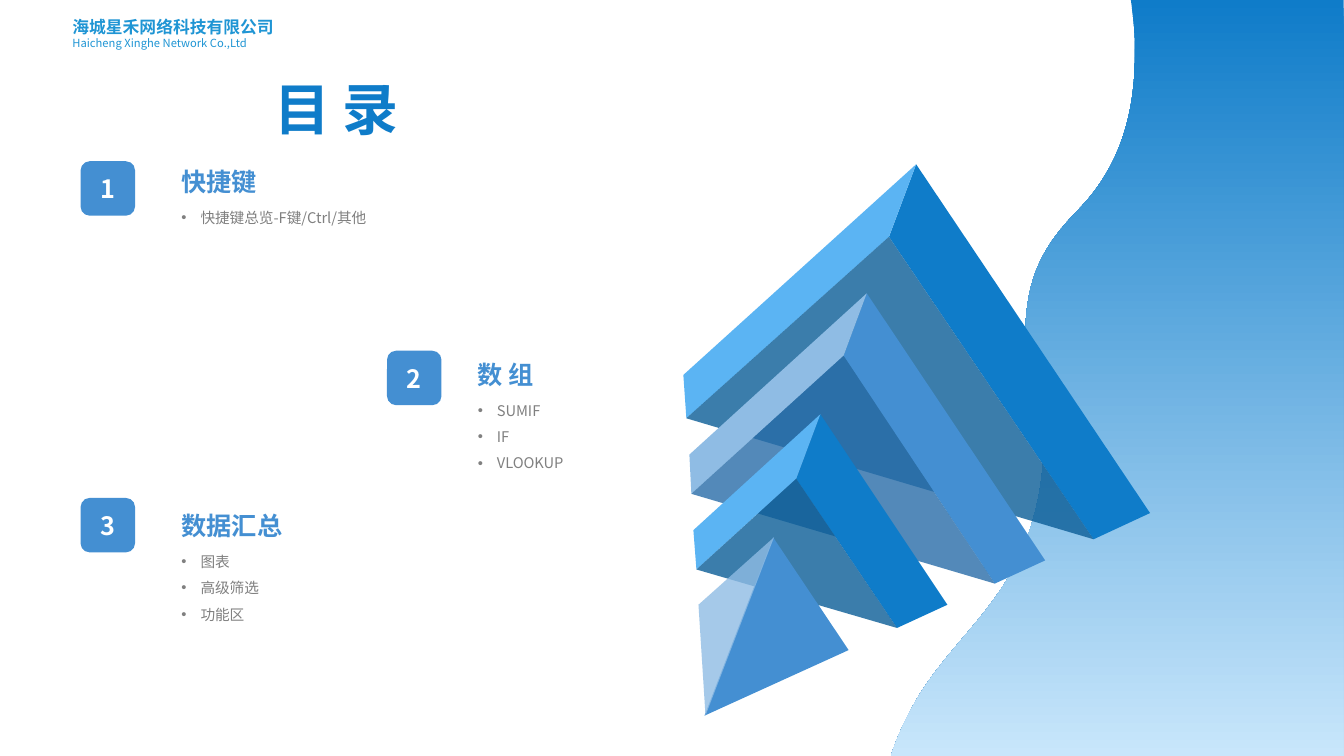
from lxml import etree
from pptx import Presentation
from pptx import util as u
from pptx.dml.color import RGBColor
from pptx.enum import shapes, text
from pptx.oxml import ns

DEEP = RGBColor(0x0F, 0x7C, 0xC9)
PALE = RGBColor(0xC8, 0xE6, 0xFB)
SKY = RGBColor(0x5B, 0xB4, 0xF3)
BLUE = RGBColor(0x44, 0x8F, 0xD2)
MIST = RGBColor(0x8F, 0xBC, 0xE4)
NAVY = RGBColor(0x0B, 0x5D, 0x97)
STEEL = RGBColor(0x28, 0x6C, 0xA8)
LOGO = RGBColor(0x1F, 0x95, 0xD4)
GRAY = RGBColor(0x80, 0x80, 0x80)
WHITE = RGBColor(0xFF, 0xFF, 0xFF)
FONT = "Noto Sans CJK SC"


def inch(size):
    return u.Cm(size * 2.54)


def sub(node, tag, **attrs):
    return etree.SubElement(node, ns.qn(tag), attrs)


def put(para, words, size=10.5, color=GRAY, bold=False, align=text.PP_ALIGN.LEFT,
        before=0, space=1, bullet=False):
    para.alignment = align
    para.space_before = u.Pt(before)
    para.line_spacing = space
    props = para._p.get_or_add_pPr()
    indent = inch(0.19) if bullet else 0
    props.set("marL", str(indent))
    props.set("indent", str(-indent))
    if bullet:
        sub(props, "a:buFont", typeface="Arial")
        sub(props, "a:buChar", char="•")
    else:
        sub(props, "a:buNone")
    run = para.add_run()
    run.text = words
    font = run.font
    font.size, font.bold = u.Pt(size), bold
    font.color.rgb = color
    font.name = FONT
    sub(run._r.get_or_add_rPr(), "a:ea", typeface=FONT)


def place(shape, x, y, w, h):
    shape.left, shape.top, shape.width, shape.height = map(inch, (x, y, w, h))
    frame = shape.text_frame
    frame.word_wrap = True
    frame.auto_size = text.MSO_AUTO_SIZE.NONE
    frame.vertical_anchor = text.MSO_ANCHOR.TOP
    return frame


def face(slide, x, y, points, color=None, alpha=None):
    spots = [(inch(x + a), inch(y + b)) for a, b in points]
    pen = slide.shapes.build_freeform(*spots[0], scale=1.0)
    pen.add_line_segments(spots[1:], close=True)
    shape = pen.convert_to_shape()
    shape.shadow.inherit = False
    shape.line.fill.background()
    if color is not None:
        shape.fill.solid()
        shape.fill.fore_color.rgb = color
    if alpha:
        tint = shape.fill._xPr.find(".//" + ns.qn("a:srgbClr"))
        sub(tint, "a:alpha", val=str(alpha * 1000))
    return shape


def curve(start, bends, steps=24):
    points = [start]
    for b, c, d in bends:
        a = points[-1]
        for i in range(1, steps + 1):
            t = i / steps
            s = 1 - t
            points.append(tuple(
                s**3 * a[k] + 3 * s * s * t * b[k] + 3 * s * t * t * c[k] + t**3 * d[k]
                for k in (0, 1)))
    return points


def wave(slide, x, y, w, h):
    bends = [
        ((2.4, 0.15), (2.42, 0.3), (2.42, 0.45)),
        ((2.42, 0.57), (2.42, 0.68), (2.41, 0.8)),
        ((2.36, 1.4), (2.14, 1.79), (1.86, 2.08)),
        ((1.62, 2.33), (1.38, 2.61), (1.34, 3.15)),
        ((1.31, 3.64), (1.5, 3.97), (1.51, 4.42)),
        ((1.52, 4.88), (1.38, 5.33), (1.21, 5.65)),
        ((0.99, 6.05), (0.71, 6.31), (0.46, 6.64)),
        ((0.28, 6.87), (0.11, 7.16), (0, h)),
    ]
    shape = face(slide, x, y, curve((2.38, 0), bends) + [(w, h), (w, 0)])
    shape.fill.gradient()
    shape.fill.gradient_angle = 270
    for stop, color in zip(shape.fill.gradient_stops, (DEEP, PALE)):
        stop.color.rgb = color


def tower(slide, x, y):
    layers = [
        ((2.31, 0), (2.04, 0.72), (4.63, 3.46), (4.07, 3.72), (0, 2.09), (0.03, 2.52),
         DEEP, SKY, NAVY),
        ((1.82, 1.28), (1.59, 1.9), (3.59, 3.93), (3.09, 4.16), (0.06, 2.88), (0.08, 3.27),
         BLUE, MIST, STEEL),
        ((1.36, 2.48), (1.12, 3.12), (2.62, 4.37), (2.12, 4.6), (0.1, 3.63), (0.13, 4.02),
         DEEP, SKY, NAVY),
    ]
    for top, fold, right, foot, left, base, front, side, under in layers:
        face(slide, x, y, [right, top, fold, foot], front)
        face(slide, x, y, [fold, top, left, base], side)
        face(slide, x, y, [foot, fold, base], under, 80)
    face(slide, x, y, [(0.89, 3.7), (1.64, 4.82), (0.21, 5.47)], BLUE)
    face(slide, x, y, [(0.9, 3.7), (0.22, 5.47), (0.15, 4.37)], MIST, 80)


def header(slide, x, y, w):
    rows = [("海城星禾网络科技有限公司", 0, 0.3, 12, True),
            ("Haicheng Xinghe Network Co.,Ltd", 0.19, 0.23, 8, False)]
    for words, drop, h, size, bold in rows:
        box = slide.shapes.add_textbox(0, 0, 0, 0)
        frame = place(box, x, y + drop, w, h)
        put(frame.paragraphs[0], words, size=size, color=LOGO, bold=bold)


def badge(slide, x, y, number, side=0.54):
    shape = slide.shapes.add_shape(shapes.MSO_SHAPE.ROUNDED_RECTANGLE, 0, 0, 0, 0)
    frame = place(shape, x, y, side, side)
    shape.shadow.inherit = False
    shape.fill.solid()
    shape.fill.fore_color.rgb = BLUE
    shape.line.fill.background()
    frame.vertical_anchor = text.MSO_ANCHOR.MIDDLE
    put(frame.paragraphs[0], str(number), size=18, color=WHITE, bold=True,
        align=text.PP_ALIGN.CENTER)


def topic(holder, x, y, w, h, head, items):
    frame = place(holder, x, y, w, h)
    put(frame.paragraphs[0], head, size=18, color=BLUE, bold=True)
    for i, item in enumerate(items):
        put(frame.add_paragraph(), item, before=0 if i else 2.5, space=1.5, bullet=True)


def agenda(deck):
    slide = deck.slides.add_slide(deck.slide_layouts.get_by_name("Comparison"))
    wave(slide, 8.84, 0, 4.49, 7.5)
    tower(slide, 6.78, 1.63)
    header(slide, 0.62, 0.12, 2.4)
    title, *bodies = slide.placeholders
    put(place(title, 2.62, 0.69, 1.65, 0.69).paragraphs[0], "目 录",
        size=40, color=DEEP, bold=True)
    topics = [
        (0.8, 1.6, 1.7, 1.6, 0.97, "快捷键", ["快捷键总览-F键/Ctrl/其他"]),
        (3.84, 3.48, 4.64, 3.51, 1.53, "数 组", ["SUMIF", "IF", "VLOOKUP"]),
        (0.8, 4.94, 1.7, 5.01, 1.23, "数据汇总", ["图表", "高级筛选", "功能区"]),
    ]
    for i, (bx, by, x, y, h, head, items) in enumerate(topics):
        badge(slide, bx, by, i + 1)
        topic(bodies[i], x, y, 2.07, h, head, items)
    for spare in bodies[len(topics):]:
        spare.element.getparent().remove(spare.element)


def main():
    deck = Presentation()
    deck.slide_width, deck.slide_height = u.Cm(33.87), u.Cm(19.05)
    agenda(deck)
    deck.save("out.pptx")


if __name__ == "__main__":
    main()
